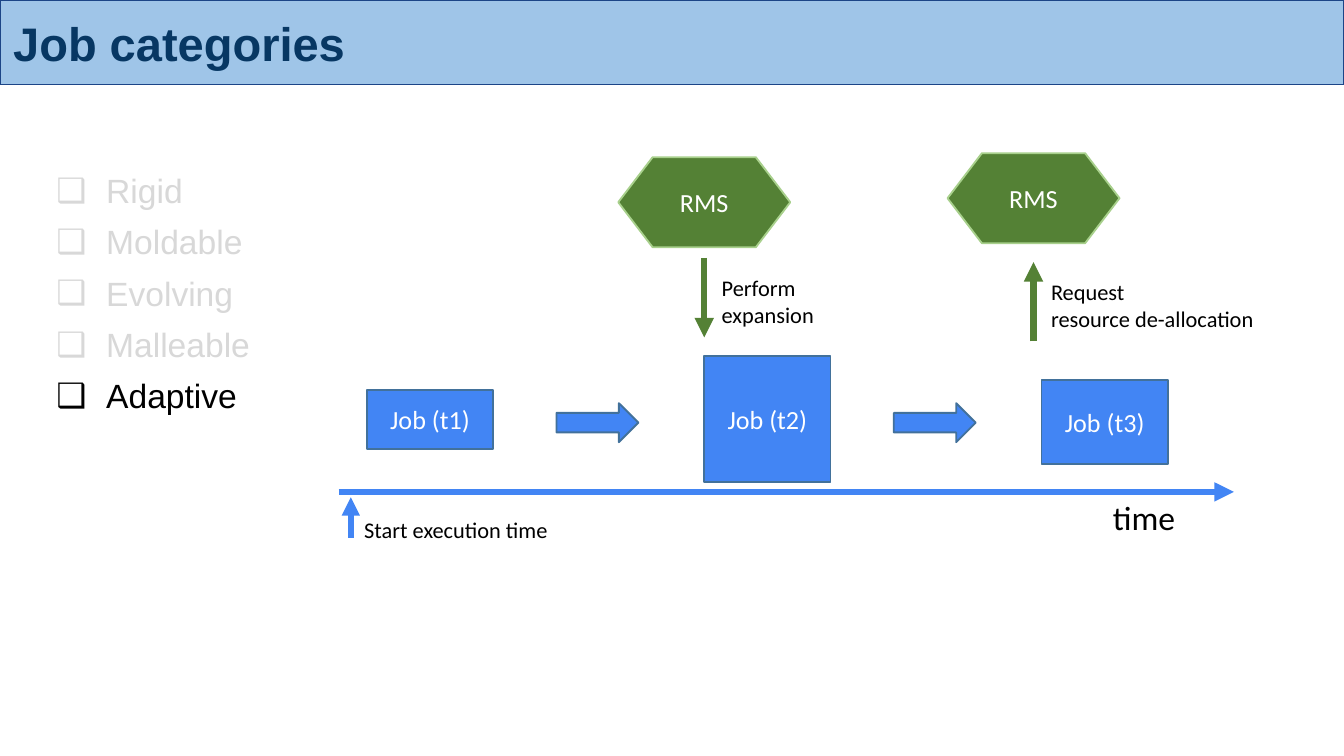
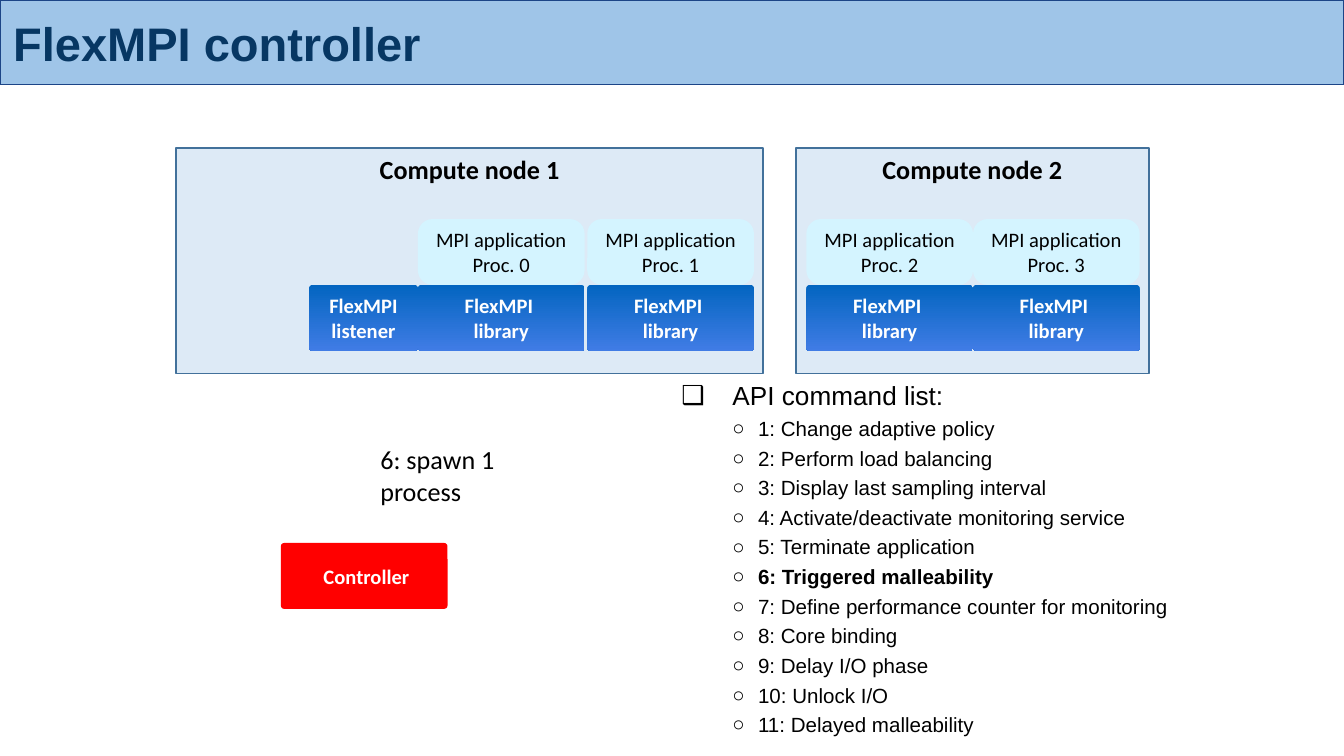
from dataclasses import dataclass
from typing import Optional

from lxml import etree
from pptx import Presentation
from pptx.dml.color import RGBColor
from pptx.enum.shapes import MSO_CONNECTOR, MSO_SHAPE
from pptx.enum.text import MSO_ANCHOR, MSO_AUTO_SIZE, PP_ALIGN
from pptx.oxml.ns import qn
from pptx.util import Inches, Pt

RECT = MSO_SHAPE.RECTANGLE
ROUNDED = MSO_SHAPE.ROUNDED_RECTANGLE
HEXAGON = MSO_SHAPE.FLOWCHART_PREPARATION
BLOCK_ARROW = MSO_SHAPE.RIGHT_ARROW
STRAIGHT = MSO_CONNECTOR.STRAIGHT
TOP, MIDDLE, BOTTOM = MSO_ANCHOR.TOP, MSO_ANCHOR.MIDDLE, MSO_ANCHOR.BOTTOM
LEFT, CENTER = PP_ALIGN.LEFT, PP_ALIGN.CENTER
GROW = MSO_AUTO_SIZE.SHAPE_TO_FIT_TEXT

SLIDE_W, SLIDE_H = Inches(10), Inches(5.625)
COLUMN, ROW = SLIDE_W / 100, SLIDE_H / 56.25

COLORS = {
    "band": "9FC5E8", "band_line": "1C4587", "title": "073763",
    "black": "000000", "white": "FFFFFF", "faded": "D8D8D8",
    "job": "4285F4", "outline": "42719B",
    "manager": "548135", "manager_line": "A8D08C",
    "node": "DDEAF6", "process": "D4F4FF", "controller": "FF0000",
    "library_top": "0365C0", "library_bottom": "407CE5",
}


@dataclass(frozen=True)
class Area:
    col: float
    row: float
    cols: float
    rows: float


@dataclass(frozen=True)
class TextStyle:
    size: float
    color: str = "black"
    bold: bool = False
    font: str = "Calibri"
    align: PP_ALIGN = LEFT
    anchor: MSO_ANCHOR = TOP
    inset_x: float = 0.07
    inset_y: float = 0.04


@dataclass(frozen=True)
class BoxStyle:
    preset: MSO_SHAPE
    fill: tuple[str, ...]
    text: TextStyle
    line: Optional[str] = None
    line_width: float = 1
    corner: Optional[float] = None


@dataclass(frozen=True)
class Arrow:
    start: tuple[float, float]
    end: tuple[float, float]
    color: str
    width: float = 3.5


@dataclass(frozen=True)
class ListItem:
    text: str
    size: float
    color: str = "black"
    bold: bool = False
    level: int = 0
    bullet: str = "❑"
    margin: float = 0.38
    hanging: float = 0.37
    before: float = 0
    after: float = 0


@dataclass(frozen=True)
class Node:
    name: str
    col: float
    cols: float
    first_process: int
    process_col: float
    process_pitch: float


WHITE_LABEL = TextStyle(14, "white", align=CENTER, anchor=MIDDLE)
SMALL_WHITE = TextStyle(11, "white", True, align=CENTER, anchor=MIDDLE, inset_x=0, inset_y=0)
SMALL_BLACK = TextStyle(11, align=CENTER, anchor=MIDDLE, inset_x=0, inset_y=0)
NOTE, CAPTION, AXIS_LABEL = TextStyle(12), TextStyle(14), TextStyle(18)

BAND = BoxStyle(RECT, ("band",), TextStyle(25.2, "title", True, "Arial", anchor=BOTTOM,
                                           inset_x=0.1, inset_y=0.1), "band_line", 0.75)
JOB = BoxStyle(RECT, ("job",), WHITE_LABEL, "outline")
STEP = BoxStyle(BLOCK_ARROW, ("job",), WHITE_LABEL, "outline")
MANAGER = BoxStyle(HEXAGON, ("manager",), WHITE_LABEL, "manager_line")
NODE = BoxStyle(RECT, ("node",), TextStyle(14, bold=True, align=CENTER), "outline")
LIBRARY = BoxStyle(ROUNDED, ("library_top", "library_bottom"), SMALL_WHITE, corner=0.049)
PROCESS = BoxStyle(ROUNDED, ("process",), SMALL_BLACK, corner=0.224)
CONTROLLER = BoxStyle(ROUNDED, ("controller",), SMALL_WHITE, corner=0.049)

CATEGORIES = ["Rigid", "Moldable", "Evolving", "Malleable", "Adaptive"]
CURRENT_CATEGORY = "Adaptive"
JOB_COL, JOB_COLS, JOB_PITCH = 27.3, 9.4, 25.1
JOBS = [(29, 4.4), (26.5, 9.4), (28.3, 6.2)]
MANAGERS = [(46, 11.7), (70.5, 11.4)]
TIMELINE_ARROWS = [
    Arrow((25.2, 36.6), (91.8, 36.6), "job"),
    Arrow((26.1, 40), (26.1, 37), "job", 3.25),
    Arrow((52.4, 19.2), (52.4, 25.1), "manager"),
    Arrow((76.9, 25.4), (76.9, 19.5), "manager"),
]
TIMELINE_NOTES = [
    (Area(82.1, 36.6, 6.2, 3.8), ["time"], AXIS_LABEL),
    (Area(53, 20, 9.4, 4.8), ["Perform", "expansion"], NOTE),
    (Area(26.4, 38, 15.3, 2.8), ["Start execution time"], NOTE),
    (Area(77.5, 20.3, 16.8, 4.8), ["Request", "resource de-allocation"], NOTE),
]

NODES = [
    Node("Compute node 2", 59.2, 26.3, 2, 60, 12.4),
    Node("Compute node 1", 13.1, 43.7, 0, 31.1, 12.6),
]
PROCESS_COLS, TILE_ROWS = 12.4, 4.9
PROCESS_ROW, LIBRARY_ROW = 16.3, 21.2
COMMANDS = [
    "Change adaptive policy",
    "Perform load balancing",
    "Display last sampling interval",
    "Activate/deactivate monitoring service",
    "Terminate application",
    "Triggered malleability",
    "Define performance counter for monitoring",
    "Core binding",
    "Delay I/O phase",
    "Unlock I/O",
    "Delayed malleability",
]
CURRENT_COMMAND = 6


def rgb(name: str) -> RGBColor:
    return RGBColor.from_string(COLORS[name])


def point(col: float, row: float) -> tuple[int, int]:
    return round(col * COLUMN), round(row * ROW)


def bounds(area: Area) -> tuple[int, int, int, int]:
    return point(area.col, area.row) + point(area.cols, area.rows)


def set_font(paragraph, font: str, size: float, color: str, bold: bool) -> None:
    paragraph.font.name = font
    paragraph.font.size = Pt(size)
    paragraph.font.bold = bold
    paragraph.font.color.rgb = rgb(color)


def prepare_frame(frame, style: TextStyle) -> None:
    frame.word_wrap = True
    frame.vertical_anchor = style.anchor
    frame.margin_left = frame.margin_right = Inches(style.inset_x)
    frame.margin_top = frame.margin_bottom = Inches(style.inset_y)


def write_lines(frame, lines: list[str], style: TextStyle) -> None:
    prepare_frame(frame, style)
    for index, line in enumerate(lines):
        paragraph = frame.add_paragraph() if index else frame.paragraphs[0]
        paragraph.text = line
        paragraph.alignment = style.align
        set_font(paragraph, style.font, style.size, style.color, style.bold)


def add_box(slide, area: Area, style: BoxStyle, lines: list[str]) -> None:
    box = slide.shapes.add_shape(style.preset, *bounds(area))
    box.shadow.inherit = False
    if style.corner is not None:
        box.adjustments[0] = style.corner
    if len(style.fill) > 1:
        box.fill.gradient()
        box.fill.gradient_angle = 270
        for stop, color in zip(box.fill.gradient_stops, style.fill):
            stop.color.rgb = rgb(color)
    else:
        box.fill.solid()
        box.fill.fore_color.rgb = rgb(style.fill[0])
    if style.line:
        box.line.color.rgb = rgb(style.line)
        box.line.width = Pt(style.line_width)
    else:
        box.line.fill.background()
    write_lines(box.text_frame, lines, style.text)


def add_note(slide, area: Area, lines: list[str], style: TextStyle) -> None:
    frame = slide.shapes.add_textbox(*bounds(area)).text_frame
    write_lines(frame, lines, style)
    frame.auto_size = GROW


def add_arrow(slide, arrow: Arrow) -> None:
    connector = slide.shapes.add_connector(STRAIGHT, *point(*arrow.start), *point(*arrow.end))
    connector.line.color.rgb = rgb(arrow.color)
    connector.line.width = Pt(arrow.width)
    etree.SubElement(connector.line._get_or_add_ln(), qn("a:tailEnd"), type="triangle")
    etree.SubElement(connector._element.spPr, qn("a:effectLst"))


def add_bullet(paragraph, item: ListItem) -> None:
    properties = paragraph._p.get_or_add_pPr()
    properties.set("marL", str(Inches(item.margin)))
    properties.set("indent", str(-Inches(item.hanging)))
    bullet_color = etree.SubElement(properties, qn("a:buClr"))
    etree.SubElement(bullet_color, qn("a:srgbClr"), val=COLORS[item.color])
    etree.SubElement(properties, qn("a:buFont"), typeface="Arial")
    etree.SubElement(properties, qn("a:buChar"), char=item.bullet)


def add_list(slide, area: Area, items: list[ListItem]) -> None:
    frame = slide.shapes.add_textbox(*bounds(area)).text_frame
    prepare_frame(frame, TextStyle(18))
    for index, item in enumerate(items):
        paragraph = frame.add_paragraph() if index else frame.paragraphs[0]
        paragraph.text = item.text
        paragraph.level = item.level
        add_bullet(paragraph, item)
        paragraph.line_spacing = 0.9
        paragraph.space_before = Pt(item.before)
        paragraph.space_after = Pt(item.after)
        set_font(paragraph, "Arial", item.size, item.color, item.bold)


def add_titled_slide(deck, title: str):
    slide = deck.slides.add_slide(deck.slide_layouts[6])
    add_box(slide, Area(0, 0, 100, 6.3), BAND, [title])
    return slide


def build_job_categories(deck) -> None:
    slide = add_titled_slide(deck, "Job categories")
    add_list(slide, Area(3.4, 12.6, 93.2, 37.4), [
        ListItem(name, 18, "black" if name == CURRENT_CATEGORY else "faded",
                 before=8 if index else 0)
        for index, name in enumerate(CATEGORIES)
    ])
    for index, (row, rows) in enumerate(JOBS):
        shift = index * JOB_PITCH
        add_box(slide, Area(JOB_COL + shift, row, JOB_COLS, rows), JOB, [f"Job (t{index + 1})"])
        if index < len(JOBS) - 1:
            add_box(slide, Area(41.4 + shift, 30, 6.1, 2.9), STEP, [])
    for col, row in MANAGERS:
        add_box(slide, Area(col, row, 12.8, 6.7), MANAGER, ["RMS"])
    for arrow in TIMELINE_ARROWS:
        add_arrow(slide, arrow)
    for area, lines, style in TIMELINE_NOTES:
        add_note(slide, area, lines, style)


def add_node(slide, node: Node) -> None:
    add_box(slide, Area(node.col, 11, node.cols, 16.8), NODE, [node.name])
    for index in range(2):
        col = node.process_col + index * node.process_pitch
        add_box(slide, Area(col, LIBRARY_ROW, PROCESS_COLS, TILE_ROWS), LIBRARY,
                ["FlexMPI ", "library"])
        add_box(slide, Area(col, PROCESS_ROW, PROCESS_COLS, TILE_ROWS), PROCESS,
                ["MPI application", f"Proc. {node.first_process + index}"])


def build_controller(deck) -> None:
    slide = add_titled_slide(deck, "FlexMPI controller")
    for node in NODES:
        add_node(slide, node)
    add_box(slide, Area(23, LIBRARY_ROW, 8.1, TILE_ROWS), LIBRARY, ["FlexMPI listener"])
    add_box(slide, Area(20.9, 40.4, PROCESS_COLS, TILE_ROWS), CONTROLLER, [" Controller"])
    add_note(slide, Area(27.6, 32.6, 16.1, 5.5), ["6: spawn 1 process"], CAPTION)
    heading = ListItem("API command list:", 14, hanging=0.38)
    commands = [
        ListItem(f"{number}: {command}", 11, bold=number == CURRENT_COMMAND, level=1,
                 bullet="○", margin=0.57, hanging=0.19, before=4,
                 after=12 if number == len(COMMANDS) else 0)
        for number, command in enumerate(COMMANDS, 1)
    ]
    add_list(slide, Area(50, 28.1, 93.2, 37.4), [heading, *commands])


def main() -> None:
    deck = Presentation()
    deck.slide_width, deck.slide_height = SLIDE_W, SLIDE_H
    build_job_categories(deck)
    build_controller(deck)
    deck.save("out.pptx")


if __name__ == "__main__":
    main()
